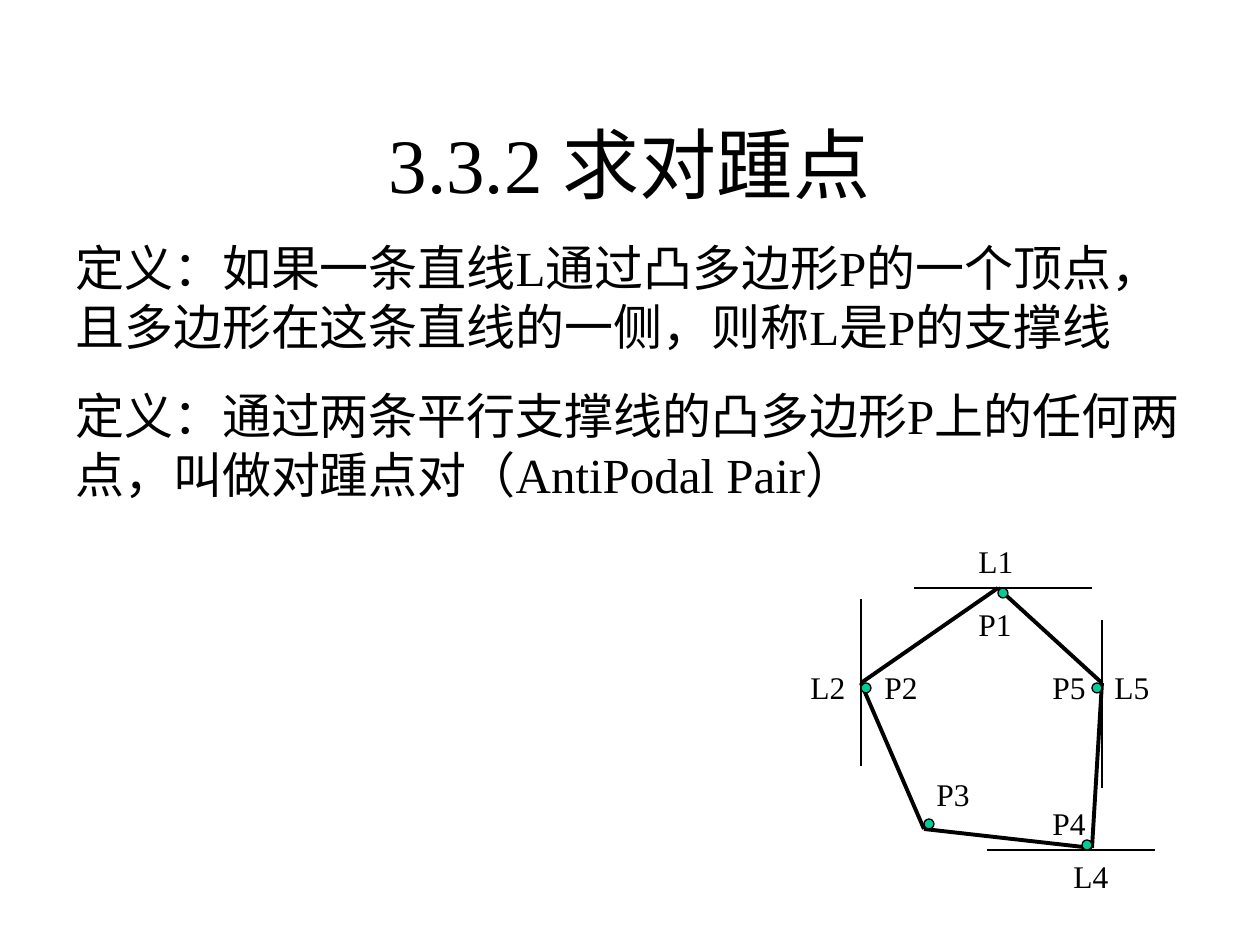
from typing import NamedTuple

from lxml import etree
from pptx import Presentation
from pptx.dml.color import RGBColor
from pptx.enum.shapes import MSO_CONNECTOR, MSO_SHAPE
from pptx.enum.text import MSO_ANCHOR, PP_ALIGN
from pptx.oxml.ns import qn
from pptx.util import Emu, Pt

STRAIGHT = MSO_CONNECTOR.STRAIGHT
OVAL = MSO_SHAPE.OVAL
TOP, MIDDLE = MSO_ANCHOR.TOP, MSO_ANCHOR.MIDDLE
LEFT, CENTER = PP_ALIGN.LEFT, PP_ALIGN.CENTER

PX_PER_INCH = 126
COLORS = {"ink": "000000", "dot": "00CC99"}
FONT = "Times New Roman"
DOT_SIZE = 10
LABEL_WIDTH, LABEL_HEIGHT = 73, 50
THIN, THICK = 0.75, 2.25


class Point(NamedTuple):
    x: int
    y: int


class Segment(NamedTuple):
    start: Point
    end: Point


class Label(NamedTuple):
    text: str
    corner: Point


def px(length: int) -> Emu:
    return Emu(round(length * 914400 / PX_PER_INCH))


def color(name: str) -> RGBColor:
    return RGBColor.from_string(COLORS[name])


def add_text(slide, text: str, left: int, top: int, width: int, height: int, *,
             size: float, align=LEFT, anchor=TOP, gap: float = 0) -> None:
    """Each line of text becomes one paragraph, with gap points between them."""
    frame = slide.shapes.add_textbox(px(left), px(top), px(width), px(height)).text_frame
    frame.word_wrap = True
    frame.vertical_anchor = anchor
    frame.text = text
    for index, paragraph in enumerate(frame.paragraphs):
        paragraph.alignment = align
        # Keep closing punctuation inside the right margin
        paragraph._p.get_or_add_pPr().set("hangingPunct", "0")
        if index:
            paragraph.space_before = Pt(gap)
        for run in paragraph.runs:
            run.font.name = FONT
            run.font.size = Pt(size)
            run.font.color.rgb = color("ink")


def add_line(slide, segment: Segment, weight: float) -> None:
    start, end = segment
    line = slide.shapes.add_connector(
        STRAIGHT, px(start.x), px(start.y), px(end.x), px(end.y))
    line.line.color.rgb = color("ink")
    line.line.width = Pt(weight)
    etree.SubElement(line._element.spPr, qn("a:effectLst"))


def add_dot(slide, corner: Point) -> None:
    dot = slide.shapes.add_shape(
        OVAL, px(corner.x), px(corner.y), px(DOT_SIZE), px(DOT_SIZE))
    dot.shadow.inherit = False
    dot.fill.solid()
    dot.fill.fore_color.rgb = color("dot")
    dot.line.color.rgb = color("ink")
    dot.line.width = Pt(THIN)


TITLE = "3.3.2 求对踵点"
DEFINITIONS = "\n".join([
    "定义：如果一条直线L通过凸多边形P的一个顶点，且多边形在这条直线的一侧，则称L是P的支撑线",
    "定义：通过两条平行支撑线的凸多边形P上的任何两点，叫做对踵点对（AntiPodal Pair）",
])

# Polygon corners P1 to P5, and the dots just inside them
VERTICES = [Point(998, 588), Point(861, 683), Point(924, 829),
            Point(1092, 848), Point(1102, 683)]
DOTS = [Point(998, 588), Point(861, 683), Point(924, 819),
        Point(1082, 840), Point(1092, 683)]

SUPPORT_LINES = [
    Segment(Point(914, 588), Point(1092, 588)),
    Segment(Point(987, 850), Point(1155, 850)),
    Segment(Point(861, 599), Point(861, 766)),
    Segment(Point(1102, 620), Point(1102, 788)),
]

LABELS = [
    Label("P1", Point(966, 599)),
    Label("L1", Point(966, 536)),
    Label("L2", Point(798, 662)),
    Label("P2", Point(872, 662)),
    Label("P5", Point(1040, 662)),
    Label("L5", Point(1102, 662)),
    Label("P4", Point(1040, 798)),
    Label("L4", Point(1061, 851)),
    Label("P3", Point(924, 769)),
]


def main() -> None:
    deck = Presentation()
    deck.slide_width, deck.slide_height = px(1260), px(945)
    slide = deck.slides.add_slide(deck.slide_layouts[6])

    # Title
    add_text(slide, TITLE, 94, 84, 1071, 158, size=44, align=CENTER, anchor=MIDDLE)

    # Convex polygon
    for start, end in zip(VERTICES, VERTICES[1:] + VERTICES[:1]):
        add_line(slide, Segment(start, end), THICK)
    for corner in DOTS:
        add_dot(slide, corner)

    # Supporting lines
    for support in SUPPORT_LINES:
        add_line(slide, support, THIN)

    # Names of points and lines
    for label in LABELS:
        add_text(slide, label.text, *label.corner, LABEL_WIDTH, LABEL_HEIGHT, size=18)

    # Definitions
    add_text(slide, DEFINITIONS, 63, 231, 1134, 278, size=28, gap=17.5)

    deck.save("out.pptx")


if __name__ == "__main__":
    main()
